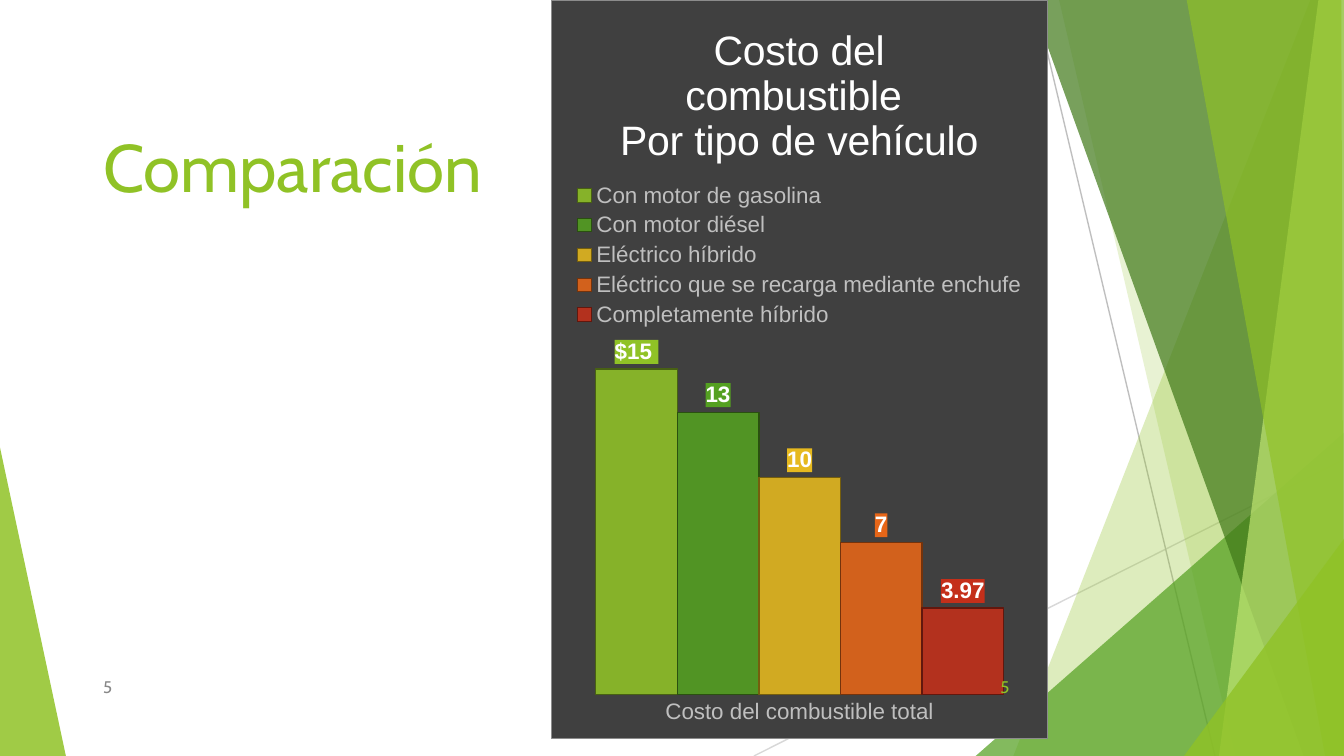
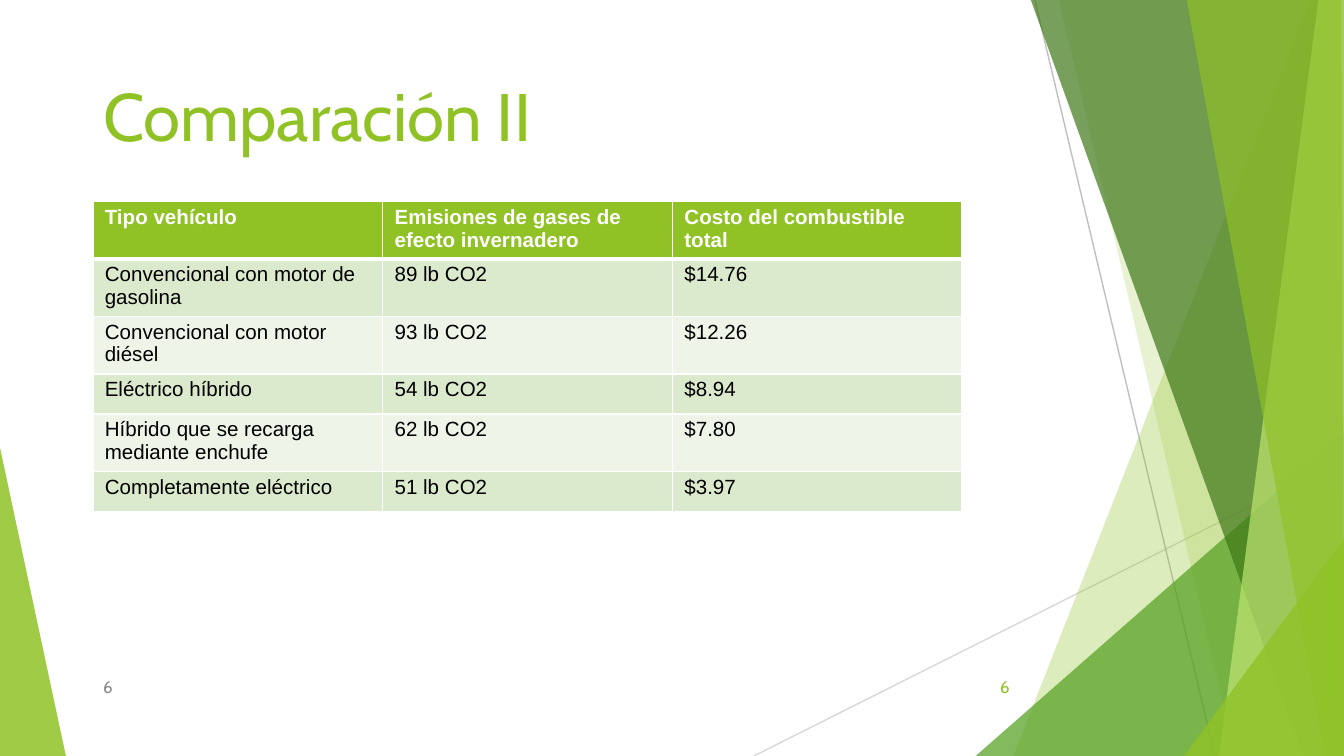
from lxml import etree
from pptx import Presentation
from pptx.chart.data import CategoryChartData
from pptx.dml.color import RGBColor
from pptx.enum import chart as charts, shapes, text
from pptx.oxml import parse_xml
from pptx.oxml.ns import nsdecls, qn
from pptx.util import Inches, Pt

WIDTH = 10
HEIGHT = WIDTH * 9 / 16
LIME, GREEN, GRAY, WHITE, BLACK = "90C226", "54A021", "888888", "FFFFFF", "000000"
CHART_TEXT = "BFBFBF"
HEADING_FONT, BODY_FONT = "Cabin", "Arial"

# Background: corner points, colour, opacity in percent
LEFT_BAND = ([(0, 3.33), (0.49, HEIGHT), (0, HEIGHT)], LIME, 85)
RIGHT_BANDS = [
    ([(9.75, 0), (7.54, HEIGHT), (WIDTH, HEIGHT), (WIDTH, 0)], LIME, 30),
    ([(7.88, 0), (9.19, HEIGHT), (WIDTH, HEIGHT), (WIDTH, 0)], LIME, 20),
    ([(7.26, HEIGHT), (WIDTH, 3.22), (WIDTH, HEIGHT)], GREEN, 72),
    ([(7.67, 0), (9.7, HEIGHT), (WIDTH, HEIGHT), (WIDTH, 0)], "3F7818", 70),
    ([(9.81, 0), (9.07, HEIGHT), (WIDTH, HEIGHT), (WIDTH, 0)], "BFE471", 70),
    ([(8.83, 0), (9.86, HEIGHT), (WIDTH, HEIGHT), (9.98, 0)], LIME, 65),
    ([(8.81, HEIGHT), (WIDTH, 4.01), (WIDTH, HEIGHT)], LIME, 80),
]
THIN_LINES = [
    ((5.61, HEIGHT), (WIDTH, 3.42), "D8D8D8"),
    ((7.7, 0), (9.04, HEIGHT), "BFBFBF"),
]

CHART_TITLE = ["Costo del combustible ", "Por tipo de vehículo"]
CATEGORY = "Costo del combustible total"
DOLLARS = '"$"#,##0_);[Red]\\("$"#,##0\\)'
# Name, cost, fill, outline, label format
VEHICLES = [
    ("Con motor de gasolina", 15, LIME, "486113", DOLLARS),
    ("Con motor diésel", 13, GREEN, "2A5010", "General"),
    ("Eléctrico híbrido", 10, "E6B91E", "755E0D", "General"),
    ("Eléctrico que se recarga mediante enchufe", 7, "E76618", "74330C", "General"),
    ("Completamente híbrido", 3.97, "C42F1A", "62170D", "General"),
]

TABLE_ROWS = [
    ("Tipo vehículo", "Emisiones de gases de efecto invernadero", "Costo del combustible total"),
    ("Convencional con motor de gasolina", "89 lb CO2", "$14.76"),
    ("Convencional con motor diésel", "93 lb CO2", "$12.26"),
    ("Eléctrico híbrido", "54 lb CO2", "$8.94"),
    ("Híbrido que se recarga mediante enchufe", "62 lb CO2", "$7.80"),
    ("Completamente eléctrico", "51 lb CO2", "$3.97"),
]
ROW_HEIGHTS = [0.42, 0.42, 0.42, 0.3, 0.42, 0.3]
TABLE_WIDTH = 6.47
STRIPES = ["EEF4E8", "DBE9CD"]


def rgb(color):
    return RGBColor.from_string(color)


def fill_solid(part, color, opacity=100):
    part.fill.solid()
    part.fill.fore_color.rgb = rgb(color)
    if opacity < 100:
        tint = part.fill._xPr.find(qn("a:solidFill"))[0]
        etree.SubElement(tint, qn("a:alpha")).set("val", str(opacity * 1000))


def style_font(font, size, color, name=BODY_FONT, bold=False):
    font.size, font.name, font.bold = Pt(size), name, bold
    font.color.rgb = rgb(color)


def add_run(para, words, *style, **options):
    span = para.add_run()
    span.text = words
    style_font(span.font, *style, **options)


def add_band(page, points, color, opacity):
    corners = [(Inches(x), Inches(y)) for x, y in points]
    builder = page.shapes.build_freeform(*corners[0])
    builder.add_line_segments(corners[1:], close=True)
    band = builder.convert_to_shape()
    band.shadow.inherit = False
    fill_solid(band, color, opacity)
    band.line.fill.background()


def add_thin_line(page, start, end, color):
    ends = [Inches(value) for value in start + end]
    line = page.shapes.add_connector(shapes.MSO_CONNECTOR.STRAIGHT, *ends)
    line.line.color.rgb = rgb(color)
    line.line.width = Pt(0.75)
    etree.SubElement(line._element.spPr, qn("a:effectLst"))


def add_text(page, place, words, size, color, anchor, align=text.PP_ALIGN.LEFT):
    box = page.shapes.add_textbox(*map(Inches, place))
    frame = box.text_frame
    frame.word_wrap = True
    frame.vertical_anchor = anchor
    frame.paragraphs[0].alignment = align
    add_run(frame.paragraphs[0], words, size, color, HEADING_FONT)


def add_page(deck, title, anchor):
    page = deck.slides.add_slide(deck.slide_layouts[6])
    add_band(page, *LEFT_BAND)
    for line in THIN_LINES:
        add_thin_line(page, *line)
    for band in RIGHT_BANDS:
        add_band(page, *band)
    add_text(page, (0.67, 0.5, 6.94, 1.08), title, 36, LIME, anchor)
    return page


def add_numbers(page, number):
    middle = text.MSO_ANCHOR.MIDDLE
    add_text(page, (0.67, 4.96, 5.06, 0.3), number, 9, GRAY, middle)
    add_text(page, (7.05, 4.96, 0.56, 0.3), number, 9, LIME, middle, text.PP_ALIGN.RIGHT)


def chart_box(color, border=""):
    """Fill and outline of a chart part that has no format object."""
    outline = (f'<a:ln w="6350"><a:solidFill><a:srgbClr val="{border}"/></a:solidFill></a:ln>'
               if border else "")
    return parse_xml(f'<c:spPr {nsdecls("c", "a")}><a:solidFill><a:srgbClr val="{color}"/>'
                     f'</a:solidFill>{outline}</c:spPr>')


def set_layout(part, index, inner=False, **fractions):
    """Place a chart part by fractions of the chart's size."""
    for old in part.findall(qn("c:layout")):
        part.remove(old)
    target = '<c:layoutTarget val="inner"/>' if inner else ""
    modes = "".join(f'<c:{key}Mode val="edge"/>' for key in "xy")
    values = "".join(f'<c:{key} val="{value}"/>' for key, value in fractions.items())
    part.insert(index, parse_xml(f'<c:layout {nsdecls("c")}><c:manualLayout>{target}{modes}'
                                 f'{values}</c:manualLayout></c:layout>'))


def style_series(series, color, outline, number_format):
    fill_solid(series.format, color, 88)
    series.format.line.color.rgb = rgb(outline)
    series.format.line.width = Pt(0.75)
    labels = series.data_labels
    labels.show_value = True
    labels.position = charts.XL_LABEL_POSITION.OUTSIDE_END
    labels.number_format = number_format
    labels.number_format_is_linked = False
    style_font(labels.font, 12, WHITE, bold=True)
    labels._element.find(qn("c:txPr")).addprevious(chart_box(color))


def add_cost_chart(page):
    data = CategoryChartData()
    data.categories = [CATEGORY]
    for name, cost, *_ in VEHICLES:
        data.add_series(name, [cost])
    place = map(Inches, (4.1, 0, 3.7, 5.5))
    chart = page.shapes.add_chart(charts.XL_CHART_TYPE.COLUMN_CLUSTERED, *place, data).chart
    style_font(chart.font, 10, BLACK)
    chart._chartSpace.find(qn("c:txPr")).addprevious(chart_box("404040", "8C8C8C"))

    frame = chart.chart_title.text_frame
    for index, words in enumerate(CHART_TITLE):
        para = frame.add_paragraph() if index else frame.paragraphs[0]
        add_run(para, words, 22, WHITE)
    set_layout(chart.chart_title._element, 1, x=0.13, y=0.03)

    chart.has_legend = True
    chart.legend.position = charts.XL_LEGEND_POSITION.TOP
    chart.legend.include_in_layout = False
    style_font(chart.legend.font, 12, CHART_TEXT)
    set_layout(chart.legend._element, 1, x=0.04, y=0.24, w=0.92, h=0.21)

    axis = chart.category_axis
    axis.major_tick_mark = axis.minor_tick_mark = charts.XL_TICK_MARK.NONE
    axis.format.line.fill.background()
    style_font(axis.tick_labels.font, 12, CHART_TEXT)
    scale = chart.value_axis
    scale.minimum_scale, scale.maximum_scale = 0, 16
    scale.has_major_gridlines = False
    scale.tick_labels.number_format = DOLLARS
    scale.tick_labels.number_format_is_linked = False
    scale.visible = False

    plot = chart.plots[0]
    plot.gap_width, plot.overlap, plot.vary_by_categories = 84, 0, False
    for series, (_, _, *style) in zip(plot.series, VEHICLES):
        style_series(series, *style)
    set_layout(chart._chartSpace.chart.plotArea, 0, inner=True, x=0.02, y=0.47, w=0.96, h=0.47)


def set_borders(cell, **widths):
    """White borders, widths in points by side: L, R, T, B."""
    properties = cell._tc.get_or_add_tcPr()
    for index, side in enumerate("LRTB"):
        properties.insert(index, parse_xml(
            f'<a:ln{side} {nsdecls("a")} w="{Pt(widths.get(side, 1))}"><a:solidFill>'
            f'<a:srgbClr val="{WHITE}"/></a:solidFill></a:ln{side}>'))


def add_emissions_table(page):
    columns = len(TABLE_ROWS[0])
    place = map(Inches, (0.69, 1.5, TABLE_WIDTH, sum(ROW_HEIGHTS)))
    table = page.shapes.add_table(len(TABLE_ROWS), columns, *place).table
    for column in table.columns:
        column.width = Inches(TABLE_WIDTH / columns)
    for index, (words, height) in enumerate(zip(TABLE_ROWS, ROW_HEIGHTS)):
        header = index == 0
        table.rows[index].height = Inches(height)
        for cell, value in zip(table.rows[index].cells, words):
            cell.margin_left = cell.margin_right = Inches(0.09)
            cell.margin_top = cell.margin_bottom = Inches(0.03)
            fill_solid(cell, LIME if header else STRIPES[index % 2])
            set_borders(cell, B=3 if header else 1, T=3 if index == 1 else 1)
            add_run(cell.text_frame.paragraphs[0], value, 11,
                    WHITE if header else BLACK, bold=header)


def main():
    deck = Presentation()
    deck.slide_width, deck.slide_height = Inches(WIDTH), Inches(HEIGHT)

    page = add_page(deck, "Comparación", text.MSO_ANCHOR.BOTTOM)
    add_cost_chart(page)
    add_numbers(page, "5")

    page = add_page(deck, "Comparación II", text.MSO_ANCHOR.TOP)
    add_emissions_table(page)
    add_numbers(page, "6")

    deck.save("out.pptx")


if __name__ == "__main__":
    main()
